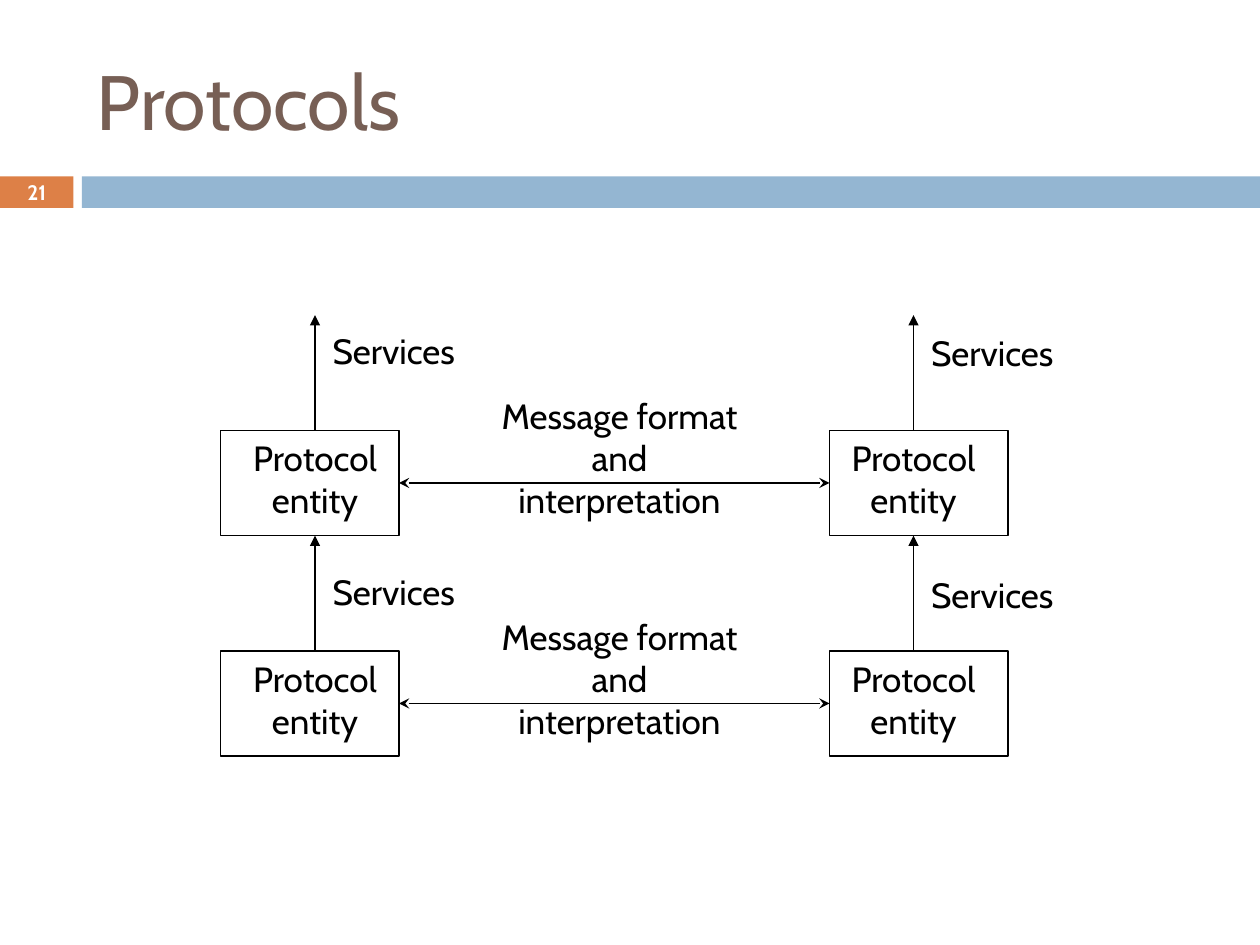
"""Build the Protocols slide: two stacks of protocol entities exchanging messages."""
from dataclasses import dataclass

from lxml import etree
from pptx import Presentation
from pptx.dml.color import RGBColor
from pptx.enum import shapes, text
from pptx.oxml import ns
from pptx.util import Pt

COLORS = {
    "title": "775F55",
    "number": "DD8047",
    "band": "94B6D2",
    "ink": "000000",
    "white": "FFFFFF",
}
FONT = "Cabin"
ENTITY_WIDTH, ENTITY_HEIGHT = 102, 60
SERVICE_LENGTH = 66


@dataclass(frozen=True)
class Box:
    left: float
    top: float
    width: float
    height: float

    def lengths(self) -> tuple:
        return Pt(self.left), Pt(self.top), Pt(self.width), Pt(self.height)


@dataclass(frozen=True)
class Stack:
    entity_left: float
    caption_left: float
    service_x: float


@dataclass(frozen=True)
class Layer:
    top: float
    service_tops: tuple


STACKS = (Stack(126, 132, 180), Stack(474, 474, 522))
LAYERS = (Layer(246, (185, 186)), Layer(372, (322.5, 324)))


def color(key: str) -> RGBColor:
    return RGBColor.from_string(COLORS[key])


def add_words(paragraph, words: str, size: float, ink: str, bold: bool = False) -> None:
    run = paragraph.add_run()
    run.text = words
    run.font.name = FONT
    run.font.size = Pt(size)
    run.font.bold = bold
    run.font.color.rgb = color(ink)


def add_rectangle(slide, box: Box, fill: str = "", line: str = ""):
    rectangle = slide.shapes.add_shape(shapes.MSO_SHAPE.RECTANGLE, *box.lengths())
    rectangle.shadow.inherit = False
    if fill:
        rectangle.fill.solid()
        rectangle.fill.fore_color.rgb = color(fill)
    else:
        rectangle.fill.background()
    if line:
        rectangle.line.color.rgb = color(line)
        rectangle.line.width = Pt(0.75)
    else:
        rectangle.line.fill.background()
    return rectangle


def add_caption(slide, box: Box, words: str, size: float = 20,
                ink: str = "ink", bold: bool = False):
    frame = slide.shapes.add_textbox(*box.lengths()).text_frame
    frame.word_wrap = True
    paragraph = frame.paragraphs[0]
    paragraph.alignment = text.PP_ALIGN.CENTER
    add_words(paragraph, words, size, ink, bold)
    return frame


def add_arrow(slide, start: tuple, end: tuple, head: str = "", tail: str = ""):
    arrow = slide.shapes.add_connector(
        shapes.MSO_CONNECTOR.STRAIGHT, *map(Pt, start + end))
    arrow.line.color.rgb = color("ink")
    arrow.line.width = Pt(0.75)
    line = arrow.line._get_or_add_ln()
    for tag, kind in (("a:headEnd", head), ("a:tailEnd", tail)):
        if kind:
            etree.SubElement(line, ns.qn(tag), type=kind)
    etree.SubElement(arrow._element.spPr, ns.qn("a:effectLst"))
    return arrow


def add_header(slide) -> None:
    add_rectangle(slide, Box(0, 100.8, 42, 18), fill="number")
    add_rectangle(slide, Box(46.8, 100.8, 673.2, 18), fill="band")
    title = slide.shapes.title
    title.left, title.top, title.width, title.height = Box(48, 18, 642, 78).lengths()
    title.text_frame.auto_size = text.MSO_AUTO_SIZE.NONE
    title.text_frame.vertical_anchor = text.MSO_ANCHOR.MIDDLE
    heading = title.text_frame.paragraphs[0]
    heading.alignment = text.PP_ALIGN.LEFT
    add_words(heading, "Protocols", 44, "title")
    number = add_caption(slide, Box(0, 100, 42, 19.5), "21", 12, "white", True)
    number.vertical_anchor = text.MSO_ANCHOR.MIDDLE


def add_layer(slide, layer: Layer) -> None:
    entities = []
    for stack, service_top in zip(STACKS, layer.service_tops):
        entities.append(add_rectangle(
            slide, Box(stack.entity_left, layer.top, ENTITY_WIDTH, ENTITY_HEIGHT),
            line="ink"))
        add_arrow(slide, (stack.service_x, layer.top),
                  (stack.service_x, layer.top - SERVICE_LENGTH), tail="triangle")
        add_caption(slide, Box(stack.caption_left, layer.top, 96, 55.5),
                    "Protocol entity")
        add_caption(slide, Box(stack.service_x, service_top, 90, 31), "Services")
    middle = layer.top + ENTITY_HEIGHT / 2
    exchange = add_arrow(slide, (STACKS[0].entity_left + ENTITY_WIDTH, middle),
                         (STACKS[1].entity_left, middle), "stealth", "stealth")
    exchange.begin_connect(entities[0], 3)
    exchange.end_connect(entities[1], 1)
    add_caption(slide, Box(276, layer.top - 24, 156, 80),
                "Message format and interpretation")


def main() -> None:
    deck = Presentation()
    deck.slide_width, deck.slide_height = Pt(720), Pt(540)
    slide = deck.slides.add_slide(deck.slide_layouts[5])
    add_header(slide)
    for layer in LAYERS:
        add_layer(slide, layer)
    deck.save("out.pptx")


if __name__ == "__main__":
    main()
